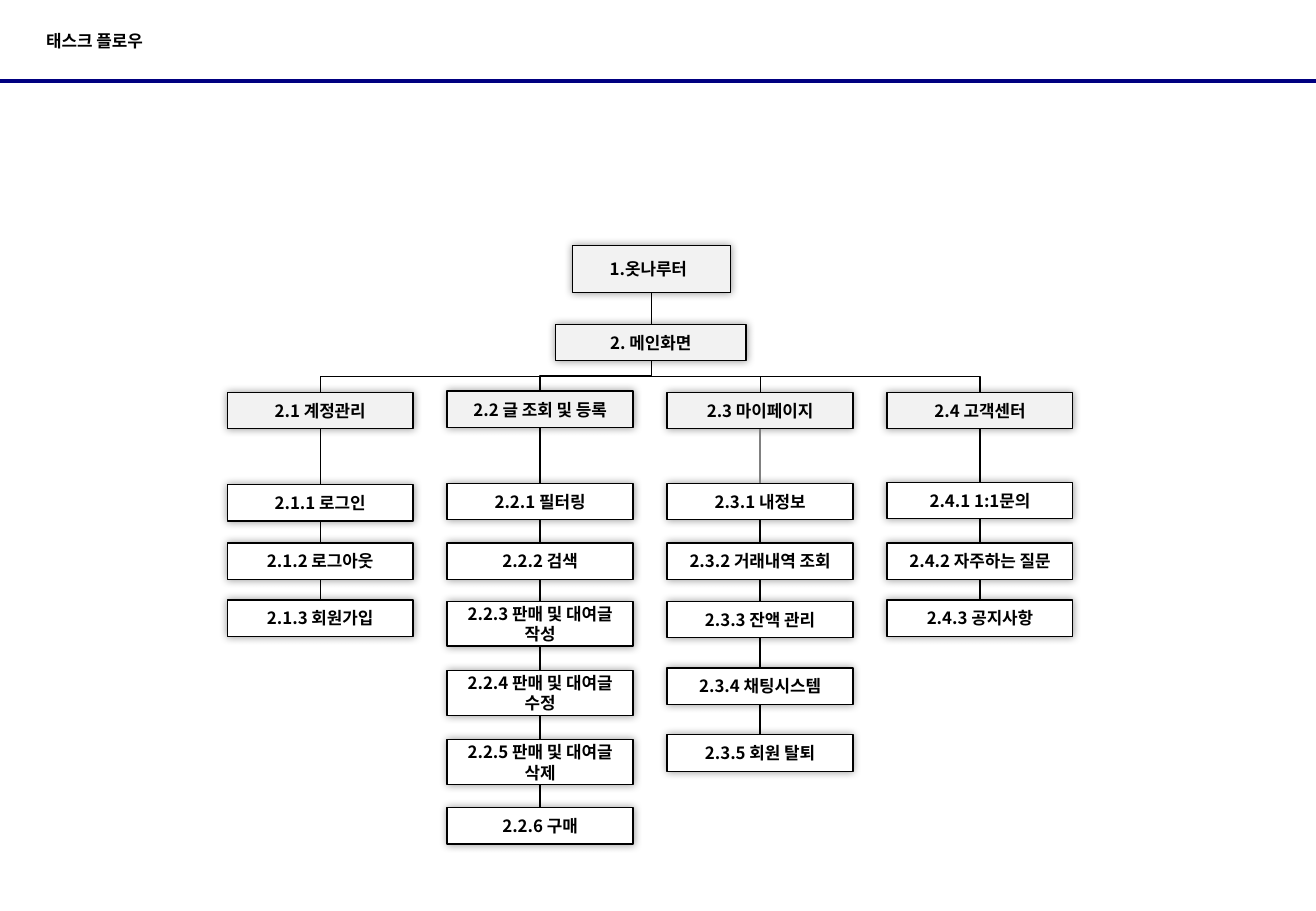
from lxml import etree
from pptx import Presentation
from pptx.dml.color import RGBColor
from pptx.enum.shapes import MSO_CONNECTOR, MSO_SHAPE
from pptx.enum.text import MSO_ANCHOR, PP_ALIGN
from pptx.oxml import parse_xml
from pptx.oxml.ns import nsdecls, qn
from pptx.util import Inches, Pt

RECTANGLE = MSO_SHAPE.RECTANGLE
STRAIGHT = MSO_CONNECTOR.STRAIGHT
ELBOW = MSO_CONNECTOR.ELBOW
MIDDLE = MSO_ANCHOR.MIDDLE
CENTER = PP_ALIGN.CENTER
LEFT = PP_ALIGN.LEFT

BLACK, NAVY, GRAY = "000000", "000080", "808080"
WHITE, PALE = "FFFFFF", "F2F2F2"
KOREAN_FONT = "Noto Sans CJK KR"
PAGE_WIDTH, PAGE_HEIGHT = 10.83, 7.5

COLUMN_STEP = 1.81
NODE_WIDTH, NODE_HEIGHT, TALL_HEIGHT = 1.53, 0.3, 0.37

BRANCHES = [
    ("2.1 계정관리", 3.23, BLACK, 0.75, [
        ("2.1.1 로그인", 3.99, NODE_HEIGHT),
        ("2.1.2 로그아웃", 4.47, NODE_HEIGHT),
        ("2.1.3 회원가입", 4.94, NODE_HEIGHT),
    ]),
    ("2.2 글 조회 및 등록", 3.22, BLACK, 0.75, [
        ("2.2.1 필터링", 3.98, NODE_HEIGHT),
        ("2.2.2 검색", 4.47, NODE_HEIGHT),
        ("2.2.3 판매 및 대여글 작성", 4.95, TALL_HEIGHT),
        ("2.2.4 판매 및 대여글 수정", 5.52, TALL_HEIGHT),
        ("2.2.5 판매 및 대여글 삭제", 6.09, TALL_HEIGHT),
        ("2.2.6 구매", 6.65, NODE_HEIGHT),
    ]),
    ("2.3 마이페이지", 3.23, GRAY, 1.5, [
        ("2.3.1 내정보", 3.98, NODE_HEIGHT),
        ("2.3.2 거래내역 조회", 4.47, NODE_HEIGHT),
        ("2.3.3 잔액 관리", 4.95, NODE_HEIGHT),
        ("2.3.4 채팅시스템", 5.5, NODE_HEIGHT),
        ("2.3.5 회원 탈퇴", 6.05, NODE_HEIGHT),
    ]),
    ("2.4 고객센터", 3.23, BLACK, 0.75, [
        ("2.4.1 1:1문의", 3.97, NODE_HEIGHT),
        ("2.4.2 자주하는 질문", 4.47, NODE_HEIGHT),
        ("2.4.3 공지사항", 4.94, NODE_HEIGHT),
    ]),
]


def color(value):
    return RGBColor.from_string(value)


def write_text(box, text, font_name, alignment, insets):
    frame = box.text_frame
    frame.word_wrap = True
    frame.vertical_anchor = MIDDLE
    frame.margin_left, frame.margin_top, frame.margin_right, frame.margin_bottom = map(Inches, insets)
    para = frame.paragraphs[0]
    para.alignment = alignment
    span = para.add_run()
    span.text = text
    span.font.name = font_name
    span.font.size = Pt(10)
    span.font.bold = True
    span.font.color.rgb = color(BLACK)
    east_asian = etree.SubElement(span.font._element, qn("a:ea"))
    east_asian.set("typeface", KOREAN_FONT)


def add_glow_shadow(box):
    box.shadow.inherit = False
    effects = box._element.spPr.find(qn("a:effectLst"))
    effects.append(parse_xml(
        f'<a:outerShdw {nsdecls("a")} blurRad="{Pt(5)}" dist="0" dir="0" rotWithShape="0">'
        f'<a:srgbClr val="{BLACK}"><a:alpha val="40000"/></a:srgbClr></a:outerShdw>'))


def add_node(page, text, left, top, width, height, fill, left_inset=0.1):
    box = page.shapes.add_shape(RECTANGLE, Inches(left), Inches(top), Inches(width), Inches(height))
    box.fill.solid()
    box.fill.fore_color.rgb = color(fill)
    box.line.color.rgb = color(BLACK)
    box.line.width = Pt(0.75)
    add_glow_shadow(box)
    write_text(box, text, KOREAN_FONT, CENTER, (left_inset, 0.05, 0.1, 0.05))


def add_link(page, start, end, line_color=BLACK, weight=0.75, kind=STRAIGHT):
    link = page.shapes.add_connector(kind, *map(Inches, (*start, *end)))
    link.line.color.rgb = color(line_color)
    link.line.width = Pt(weight)
    etree.SubElement(link._element.spPr, qn("a:effectLst"))
    return link


def add_vertical_elbow(page, start, end):
    middle_x, middle_y = (start[0] + end[0]) / 2, (start[1] + end[1]) / 2
    half_drop, half_span = (end[1] - start[1]) / 2, abs(end[0] - start[0]) / 2
    link = add_link(page, (middle_x - half_drop, middle_y - half_span),
                    (middle_x + half_drop, middle_y + half_span), kind=ELBOW)
    frame = link._element.spPr.find(qn("a:xfrm"))
    if end[0] < start[0]:
        frame.set("rot", "5400000")
    else:
        frame.set("rot", "16200000")
        frame.set("flipH", "1")


def add_header(page, left, top, width, height):
    add_link(page, (left, top + height), (left + width, top + height), NAVY, 2.25)
    title = page.shapes.add_textbox(Inches(left + 0.38), Inches(top), Inches(7.08), Inches(height))
    write_text(title, "태스크 플로우", "Arial", LEFT, (0, 0, 0, 0))


def add_branch(page, left, junction, branch):
    heading, top, stem_color, stem_weight, steps = branch
    center = left + NODE_WIDTH / 2
    add_node(page, heading, left, top, NODE_WIDTH, NODE_HEIGHT, PALE)
    add_vertical_elbow(page, junction, (center, top))
    bottom = top + NODE_HEIGHT
    line_color, weight = stem_color, stem_weight
    for text, step_top, height in steps:
        add_node(page, text, left, step_top, NODE_WIDTH, height, WHITE)
        add_link(page, (center, bottom), (center, step_top), line_color, weight)
        bottom = step_top + height
        line_color, weight = BLACK, 0.75


def add_task_tree(page, left, top):
    center = left + 3.49
    add_node(page, "1.옷나루터", center - 0.65, top, 1.3, 0.39, PALE, 0.05)
    add_node(page, "2. 메인화면", center - 0.79, top + 0.65, 1.57, NODE_HEIGHT, PALE)
    add_link(page, (center, top + 0.39), (center, top + 0.65))
    for index, branch in enumerate(BRANCHES):
        add_branch(page, left + index * COLUMN_STEP, (center, top + 0.95), branch)


def main():
    deck = Presentation()
    deck.slide_width = Inches(PAGE_WIDTH)
    deck.slide_height = Inches(PAGE_HEIGHT)
    page = deck.slides.add_slide(deck.slide_layouts[6])
    add_header(page, 0, 0, PAGE_WIDTH, 0.67)
    add_task_tree(page, 1.87, 2.02)
    deck.save("out.pptx")


if __name__ == "__main__":
    main()
